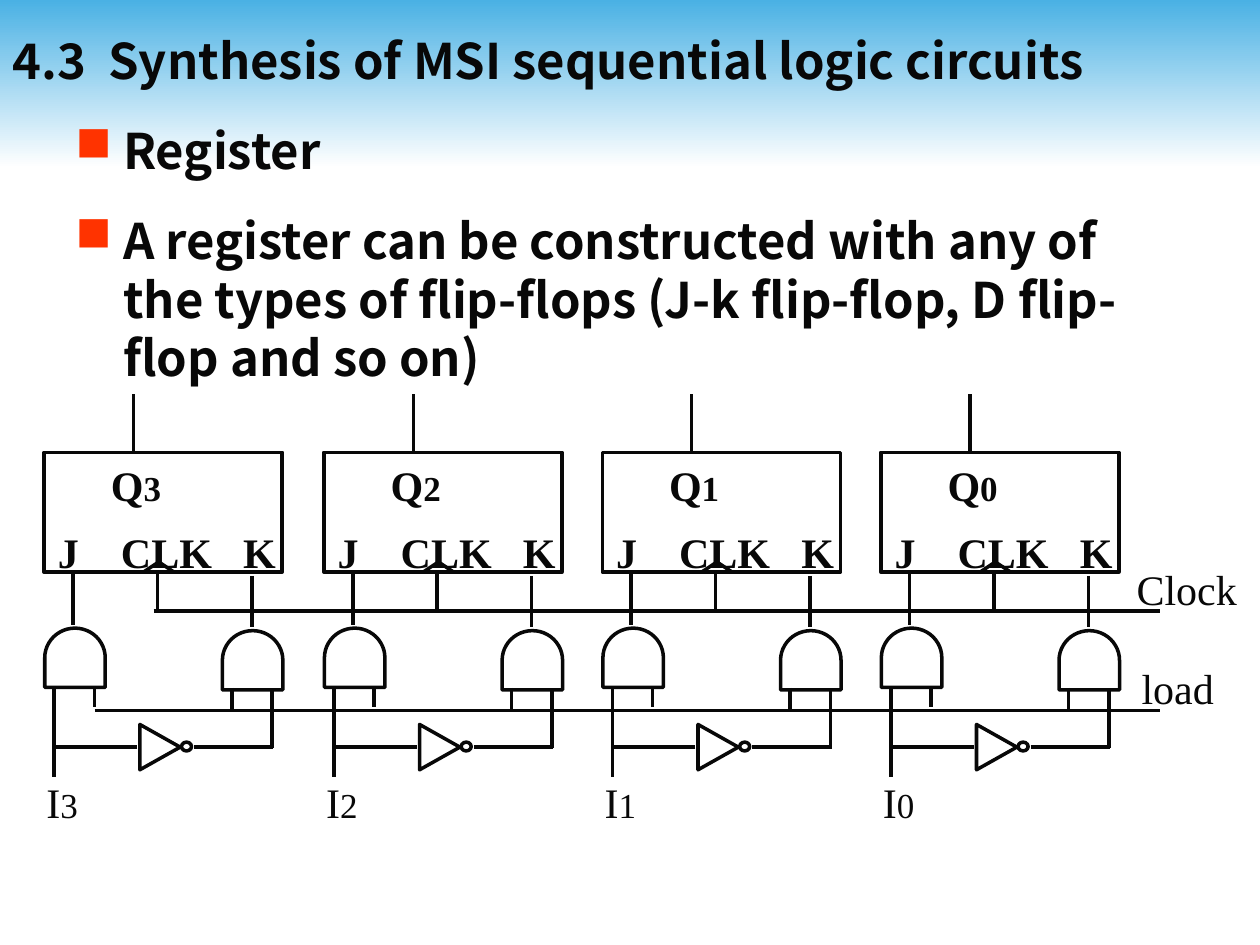
from lxml import etree
from pptx import Presentation
from pptx.dml.color import RGBColor
from pptx.enum.shapes import MSO_CONNECTOR, MSO_SHAPE
from pptx.enum.text import MSO_ANCHOR, PP_ALIGN
from pptx.oxml.ns import qn
from pptx.util import Inches, Pt

INK = RGBColor(0x08, 0x08, 0x08)
SKY = RGBColor(0x4A, 0xB1, 0xE4)
WHITE = RGBColor(0xFF, 0xFF, 0xFF)
BULLET_RED = "FF3300"
HEADING_FONT = "Noto Sans CJK JP"
DIAGRAM_FONT = "Times New Roman"

TITLE = "4.3\u2002Synthesis of MSI sequential logic circuits".replace("\u2002", "  ")
BULLETS = [
    "Register",
    "A register can be constructed with any of the types of flip-flops "
    "(J-k flip-flop, D flip-flop and so on)",
]
# Bit number and left edge of each register stage
STAGES = [("3", 0.35), ("2", 2.57), ("1", 4.78), ("0", 6.99)]
# Lines shared by all stages: start x, end x, y
BUSES = [(1.22, 9.21, 4.85), (0.75, 9.21, 5.64)]
BUS_LABELS = [("Clock", 9.02, 4.42), ("load", 9.06, 5.21)]

# Parts of one stage; x is measured from the left edge of the stage
WIRES = [  # x1, y1, x2, y2
    (0.71, 3.59, 0.71, 3.13),  # Q output
    (0.90, 4.55, 0.90, 4.86),  # clock
    (0.23, 4.55, 0.23, 4.96),  # J
    (1.65, 4.57, 1.65, 4.98),  # K
    (0.08, 5.45, 0.08, 6.17),  # data input
    (0.40, 5.46, 0.40, 5.61),  # load to J gate
    (1.49, 5.46, 1.49, 5.63),  # load to K gate
    (1.81, 5.48, 1.81, 5.94),  # inverted data to K gate
    (0.74, 5.93, 0.07, 5.93),  # inverter input
    (1.19, 5.93, 1.82, 5.93),  # inverter output
]
SYMBOLS = [  # preset, x, y, width, height, rotation
    (MSO_SHAPE.FLOWCHART_EXTRACT, 0.79, 4.46, 0.24, 0.08, 0),
    (MSO_SHAPE.FLOWCHART_DELAY, 0.01, 4.98, 0.47, 0.48, 270),
    (MSO_SHAPE.FLOWCHART_DELAY, 1.42, 5.00, 0.47, 0.48, 270),
    (MSO_SHAPE.ISOSCELES_TRIANGLE, 0.74, 5.77, 0.36, 0.32, 90),
    (MSO_SHAPE.OVAL, 1.09, 5.89, 0.08, 0.07, 0),
]
CHIP_TABS = [[0.51], [0.09, 0.59, 1.56]]


def set_values(target, values):
    for name, value in values.items():
        setattr(target, name, value)


def set_margins(frame, left, top, right, bottom):
    set_values(frame, {"margin_left": Inches(left), "margin_top": Inches(top),
                       "margin_right": Inches(right), "margin_bottom": Inches(bottom)})


def add_span(para, text, size, font=DIAGRAM_FONT, bold=False):
    span = para.add_run()
    span.text = text
    set_values(span.font, {"size": Pt(size), "name": font, "bold": bold})
    span.font.color.rgb = INK
    if font == HEADING_FONT:
        etree.SubElement(span.font._element, qn("a:ea"), typeface=font)


def add_tabs(para, stops):
    tab_list = etree.SubElement(para._p.get_or_add_pPr(), qn("a:tabLst"))
    for stop in stops:
        etree.SubElement(tab_list, qn("a:tab"), pos=str(Inches(stop)), algn="l")


def add_bullet(para):
    props = para._p.get_or_add_pPr()
    props.set("marL", str(Inches(0.38)))
    props.set("indent", str(-Inches(0.38)))
    color = etree.SubElement(props, qn("a:buClr"))
    etree.SubElement(color, qn("a:srgbClr"), val=BULLET_RED)
    etree.SubElement(props, qn("a:buChar"), char="■")


def add_text_box(slide, left, top, width, height, side=0.1):
    box = slide.shapes.add_textbox(*map(Inches, (left, top, width, height)))
    box.text_frame.word_wrap = True
    set_margins(box.text_frame, side, 0.05, side, 0.05)
    return box.text_frame


def add_wire(slide, x1, y1, x2, y2):
    wire = slide.shapes.add_connector(MSO_CONNECTOR.STRAIGHT, *map(Inches, (x1, y1, x2, y2)))
    wire.line.color.rgb = INK
    wire.line.width = Pt(2)
    etree.SubElement(wire._element.spPr, qn("a:effectLst"))


def add_symbol(slide, preset, left, top, width, height, rotation=0):
    symbol = slide.shapes.add_shape(preset, *map(Inches, (left, top, width, height)))
    symbol.rotation = rotation
    symbol.shadow.inherit = False
    symbol.fill.background()
    symbol.line.color.rgb = INK
    symbol.line.width = Pt(2)
    return symbol


def add_stage(slide, bit, left):
    """Draw one flip-flop with its gates, inverter, wires and input label."""
    chip = add_symbol(slide, MSO_SHAPE.RECTANGLE, left, 3.59, 1.89, 0.95)
    frame = chip.text_frame
    frame.vertical_anchor = MSO_ANCHOR.TOP
    set_margins(frame, 0.02, 0.06, 0.02, 0.01)
    output, pins = frame.paragraphs[0], frame.add_paragraph()
    for para, stops in zip((output, pins), CHIP_TABS):
        para.alignment = PP_ALIGN.LEFT
        add_tabs(para, stops)
    pins.space_before = Pt(9)
    add_span(output, "\tQ", 24, bold=True)
    add_span(output, bit, 20, bold=True)
    add_span(pins, "\tJ\tCLK\tK", 24, bold=True)

    for x1, y1, x2, y2 in WIRES:
        add_wire(slide, left + x1, y1, left + x2, y2)
    for preset, x, *rest in SYMBOLS:
        add_symbol(slide, preset, left + x, *rest)

    label = add_text_box(slide, left - 0.08, 6.11, 0.67, 0.5).paragraphs[0]
    add_span(label, "I", 24)
    add_span(label, bit, 20)


def add_header(slide):
    band = slide.shapes.add_shape(MSO_SHAPE.RECTANGLE, 0, 0, Inches(10), Inches(1.33))
    band.shadow.inherit = False
    band.line.fill.background()
    band.fill.gradient()
    band.fill.gradient_angle = 270
    for stop, color, position in zip(band.fill.gradient_stops, (SKY, WHITE), (0, 1)):
        stop.color.rgb = color
        stop.position = position
    slide.shapes._spTree.insert(2, band._element)

    title = slide.shapes.title
    set_values(title, {"left": 0, "top": 0, "width": Inches(10), "height": Inches(0.95)})
    title.text_frame.vertical_anchor = MSO_ANCHOR.MIDDLE
    para = title.text_frame.paragraphs[0]
    para.alignment = PP_ALIGN.LEFT
    add_span(para, TITLE, 28, HEADING_FONT, bold=True)


def add_bullets(slide):
    frame = add_text_box(slide, 0.5, 0.91, 9, 2.2)
    for index, text in enumerate(BULLETS):
        para = frame.add_paragraph() if index else frame.paragraphs[0]
        add_bullet(para)
        if index:
            para.space_before = Pt(17.5)
        add_span(para, text, 28, HEADING_FONT, bold=True)


def main():
    deck = Presentation()
    deck.slide_width, deck.slide_height = Inches(10), Inches(7.5)
    slide = deck.slides.add_slide(deck.slide_layouts[5])
    add_header(slide)
    add_bullets(slide)
    for bit, left in STAGES:
        add_stage(slide, bit, left)
    for start, end, y in BUSES:
        add_wire(slide, start, y, end, y)
    for text, left, top in BUS_LABELS:
        add_span(add_text_box(slide, left, top, 0.98, 0.5, side=0).paragraphs[0], text, 24)
    deck.save("out.pptx")


if __name__ == "__main__":
    main()
